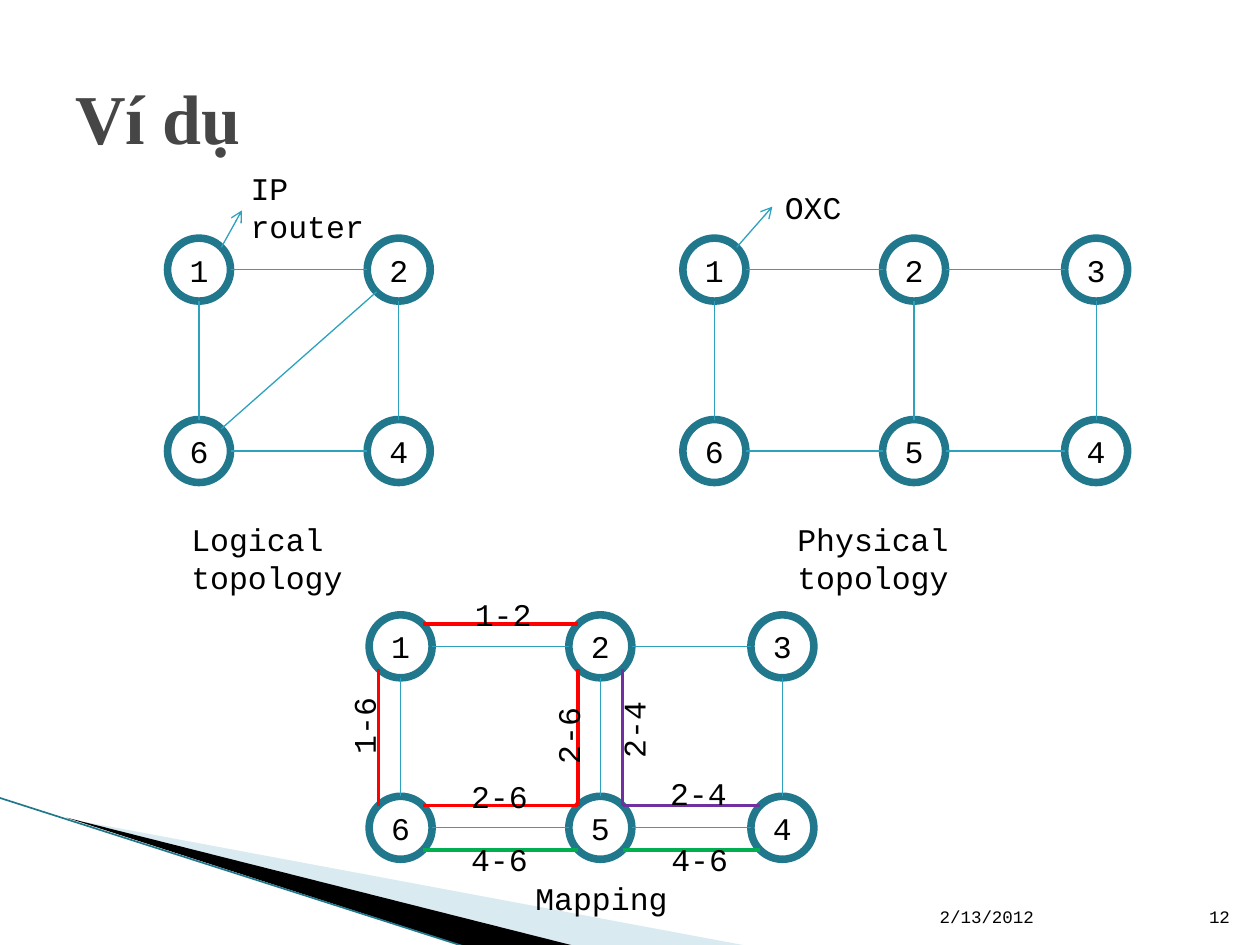
import math

import lxml.etree
import pptx
import pptx.dml.color
import pptx.enum.shapes
import pptx.enum.text
import pptx.oxml.ns
import pptx.util

ALIGN = pptx.enum.text.PP_ALIGN
ANCHOR = pptx.enum.text.MSO_ANCHOR
DIAMETER = 5
RADIUS = DIAMETER / 2
CORNERS = {"nw": (-1, -1), "ne": (1, -1), "sw": (-1, 1), "se": (1, 1)}


def colour(value):
    return pptx.dml.color.RGBColor.from_string(value)


def add_element(parent, tag, **attributes):
    return lxml.etree.SubElement(parent, pptx.oxml.ns.qn(tag), attributes)


def write(box, text, size=18, font="Courier New", ink="000000", bold=False,
          align=ALIGN.LEFT, anchor=ANCHOR.TOP, margin=None):
    frame = box.text_frame
    frame.word_wrap = True
    frame.vertical_anchor = anchor
    if margin is not None:
        frame.margin_left = frame.margin_right = margin
        frame.margin_top = frame.margin_bottom = margin
    para = frame.paragraphs[0]
    para.alignment = align
    span = para.add_run()
    span.text = text
    span.font.size = pptx.util.Pt(size)
    span.font.name = font
    span.font.bold = bold
    span.font.color.rgb = colour(ink)


def site(centre, direction):
    reach = RADIUS / math.hypot(*direction)
    return tuple(place + reach * step for place, step in zip(centre, direction))


class Sketch:
    ring = "21788D"
    link_ink = "2DA2BF"
    columns = 100
    rows = 75

    def __init__(self, deck):
        self.page = deck.slides.add_slide(deck.slide_layouts[6])
        self.column = deck.slide_width / self.columns
        self.row = deck.slide_height / self.rows

    def point(self, across, down):
        return round(across * self.column), round(down * self.row)

    def text(self, left, top, width, text, height=4, turn=0, **style):
        box = self.page.shapes.add_textbox(
            *self.point(left, top), *self.point(width, height))
        box.rotation = turn
        write(box, text, **style)

    def wedge(self, points, fill, opacity=None):
        start, *others = [self.point(*corner) for corner in points]
        builder = self.page.shapes.build_freeform(*start)
        builder.add_line_segments(others, close=True)
        shape = builder.convert_to_shape()
        shape.shadow.inherit = False
        shape.fill.solid()
        shape.fill.fore_color.rgb = colour(fill)
        shape.line.fill.background()
        if opacity:
            solid = shape.fill._xPr.find(pptx.oxml.ns.qn("a:solidFill"))
            add_element(solid[0], "a:alpha", val=str(opacity * 1000))

    def line(self, start, end, ink=link_ink, weight=0.75, arrow=False):
        connector = self.page.shapes.add_connector(
            pptx.enum.shapes.MSO_CONNECTOR.STRAIGHT,
            *self.point(*start), *self.point(*end))
        connector.line.color.rgb = colour(ink)
        connector.line.width = pptx.util.Pt(weight)
        if arrow:
            add_element(connector.line._get_or_add_ln(), "a:tailEnd", type="arrow")
        add_element(connector._element.spPr, "a:effectLst")

    def node(self, centre, name):
        left, top = (place - RADIUS for place in centre)
        circle = self.page.shapes.add_shape(
            pptx.enum.shapes.MSO_SHAPE.OVAL,
            *self.point(left, top), *self.point(DIAMETER, DIAMETER))
        circle.shadow.inherit = False
        circle.fill.background()
        circle.line.color.rgb = colour(self.ring)
        circle.line.width = pptx.util.Pt(4.33)
        write(circle, name, align=ALIGN.CENTER, anchor=ANCHOR.MIDDLE, margin=0)

    def link(self, start, end):
        step = [(b > a) - (b < a) for a, b in zip(start, end)]
        self.line(site(start, step), site(end, [-part for part in step]))

    def network(self, left, top, names, links):
        centres = {}
        for row, row_names in enumerate(names):
            for offset, name in zip((0, 15.85, 30.3), row_names):
                centres[name] = (left + offset, top + 14.4 * row)
                self.node(centres[name], name)
        for first, second in links.split():
            self.link(centres[first], centres[second])
        return centres

    def route(self, centres, ink, *stops):
        ends = [site(centres[name], CORNERS[corner]) for name, corner in stops]
        for start, end in zip(ends, ends[1:]):
            self.line(start, end, ink, 2)


def main():
    deck = pptx.Presentation()
    deck.slide_width = pptx.util.Inches(10)
    deck.slide_height = pptx.util.Inches(7.5)
    sketch = Sketch(deck)

    sketch.wedge([(5.5, 65), (59.5, 75.1), (45.6, 75.1)], "A0CBDC", 40)
    sketch.wedge([(5.3, 64.9), (45.7, 75.1), (37.2, 75.2)], "000000")
    sketch.line((-0.1, 63.3), (37.1, 75.2), sketch.ring, 0.95)
    sketch.text(5, 3, 90, "Ví dụ", height=12.5, size=40, font="Times New Roman",
                ink="464646", bold=True, anchor=ANCHOR.MIDDLE)

    grid_links = "12 23 34 54 25 16 65"
    physical = sketch.network(56.7, 21.4, ("123", "654"), grid_links)
    logical = sketch.network(15.8, 21.4, ("12", "64"), "12 24 16 64 26")
    mapping = sketch.network(31.8, 51.3, ("123", "654"), grid_links)

    red, green, purple = "FF0000", "00B050", "7030A0"
    sketch.route(mapping, red, ("2", "sw"), ("5", "nw"), ("6", "ne"))
    sketch.route(mapping, green, ("6", "se"), ("5", "sw"))
    sketch.route(mapping, green, ("5", "se"), ("4", "sw"))
    sketch.route(mapping, purple, ("2", "se"), ("5", "ne"), ("4", "nw"))
    sketch.route(mapping, red, ("1", "ne"), ("2", "nw"))
    sketch.route(mapping, red, ("1", "sw"), ("6", "nw"))

    for centres, tip in ((physical, (61.3, 16.4)), (logical, (19.2, 16.7))):
        sketch.line(site(centres["1"], CORNERS["ne"]), tip, arrow=True)

    for left, top, width, caption in (
            (62.3, 40.8, 24.6, "Physical topology"),
            (14.2, 40.8, 23.3, "Logical topology"),
            (41.5, 69.3, 13.4, "Mapping"),
            (61.3, 14.4, 7.5, "OXC"),
            (18.9, 12.9, 11, "IP router")):
        sketch.text(left, top, width, caption)

    for left, top, turn, label in (
            (36.7, 46.7, 0, "1-2"), (36.4, 66.2, 0, "4-6"),
            (25.5, 55.5, 270, "1-6"), (41.7, 56.3, 270, "2-6"),
            (36.4, 61.2, 0, "2-6"), (52.3, 66.2, 0, "4-6"),
            (46.9, 55.8, 270, "2-4"), (52.2, 60.9, 0, "2-4")):
        sketch.text(left, top, 6.7, label, turn=turn)

    sketch.text(73.6, 70.1, 21, "2/13/2012", size=10, anchor=ANCHOR.BOTTOM)
    sketch.text(94.6, 70.1, 4, "12", size=10, align=ALIGN.RIGHT,
                anchor=ANCHOR.BOTTOM)
    deck.save("out.pptx")


if __name__ == "__main__":
    main()
